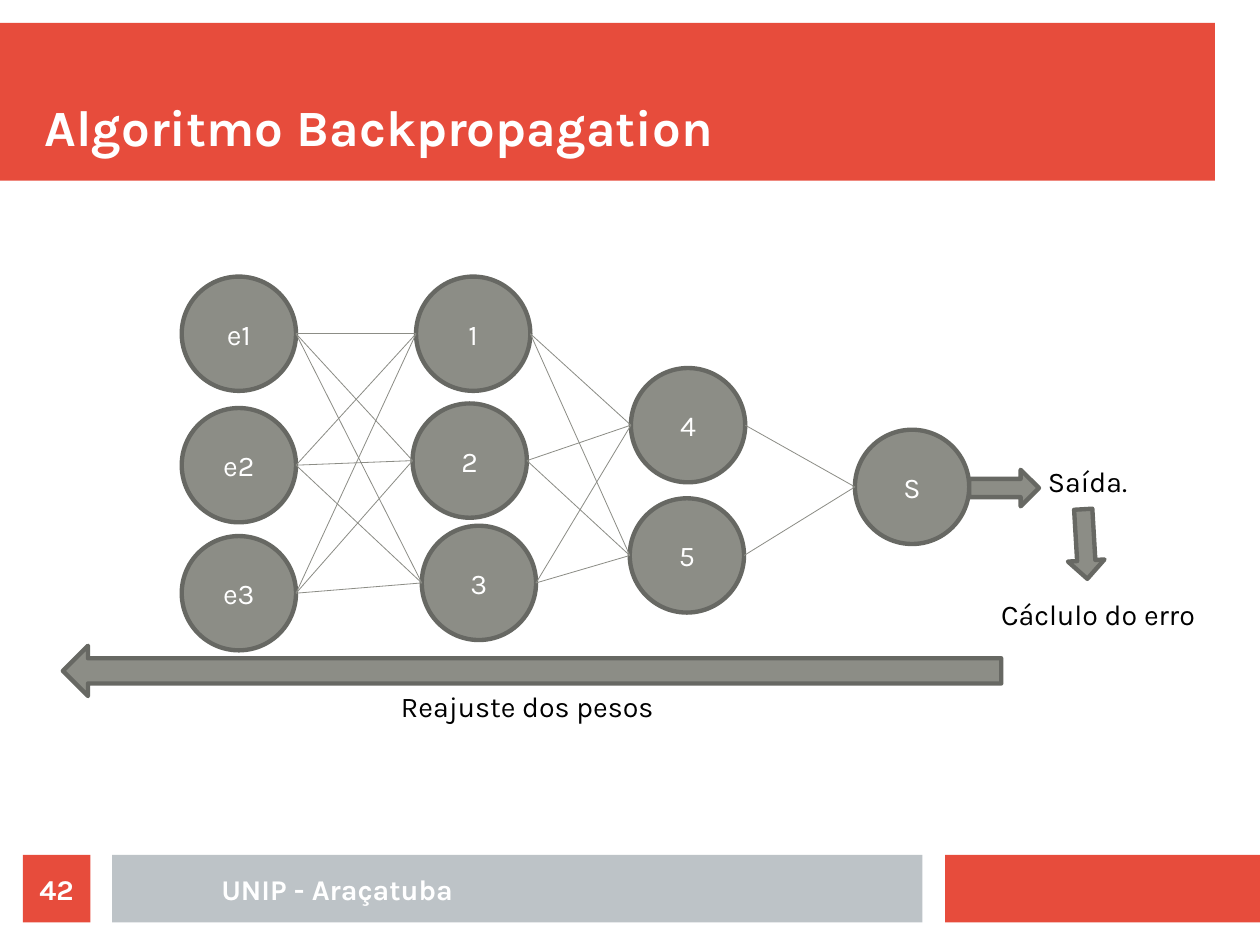
from itertools import pairwise, product

from lxml.etree import SubElement
from pptx import Presentation
from pptx.dml.color import RGBColor
from pptx.enum.shapes import MSO_CONNECTOR, MSO_SHAPE
from pptx.enum.text import MSO_ANCHOR, PP_ALIGN
from pptx.oxml.ns import qn
from pptx.util import Inches, Pt

RED = RGBColor(0xE7, 0x4C, 0x3C)
SILVER = RGBColor(0xBD, 0xC3, 0xC7)
GRAY = RGBColor(0x8C, 0x8D, 0x86)
DARK = RGBColor(0x67, 0x68, 0x63)
WHITE = RGBColor(0xFF, 0xFF, 0xFF)
BLACK = RGBColor(0x00, 0x00, 0x00)

FONT = "Karla"
WIDE = 28 / 2.54
HIGH = 21 / 2.54
NODE = 1.0
FOOT = 7.48
LAYERS = [
    [("e1", 1.59, 2.42), ("e2", 1.59, 3.57), ("e3", 1.59, 4.69)],
    [("1", 3.64, 2.42), ("2", 3.61, 3.53), ("3", 3.69, 4.6)],
    [("4", 5.52, 3.22), ("5", 5.51, 4.36)],
    [("S", 7.48, 3.76)],
]
LABELS = [
    ("Saída.", 9.07, 4.01, 0.97),
    ("Cáclulo do erro", 8.66, 5.17, 1.98),
    ("Reajuste dos pesos", 3.41, 5.98, 2.44),
]


def write(shape, text, size=18, color=WHITE, bold=False,
          align=PP_ALIGN.CENTER, anchor=MSO_ANCHOR.MIDDLE, wrap=True, pad=True):
    """Set and format the one line of text in a shape."""
    frame = shape.text_frame
    frame.text = text
    frame.word_wrap = wrap
    frame.vertical_anchor = anchor
    if not pad:
        frame.margin_left = frame.margin_right = 0
        frame.margin_top = frame.margin_bottom = 0
    line = frame.paragraphs[0]
    line.alignment = align
    font = line.runs[0].font
    font.name, font.size, font.bold = FONT, Pt(size), bold
    font.color.rgb = color


def add_box(slide, x, y, w, h):
    """Add an empty text box."""
    return slide.shapes.add_textbox(Inches(x), Inches(y), Inches(w), Inches(h))


def add_form(slide, kind, x, y, w, h, fill, edge=None):
    """Add a filled preset shape, outlined if an edge colour is given."""
    form = slide.shapes.add_shape(kind, Inches(x), Inches(y), Inches(w), Inches(h))
    form.shadow.inherit = False
    form.fill.solid()
    form.fill.fore_color.rgb = fill
    if edge is None:
        form.line.fill.background()
    else:
        form.line.color.rgb = edge
        form.line.width = Pt(2.75)
    return form


def add_bar(slide, x, y, w, h, fill):
    """Add a plain coloured bar."""
    return add_form(slide, MSO_SHAPE.RECTANGLE, x, y, w, h, fill)


def add_node(slide, name, x, y):
    """Add a neuron with its name."""
    node = add_form(slide, MSO_SHAPE.OVAL, x, y, NODE, NODE, GRAY, DARK)
    write(node, name)


def add_link(slide, start, end):
    """Join the right side of one neuron to the left side of another."""
    link = slide.shapes.add_connector(
        MSO_CONNECTOR.STRAIGHT,
        Inches(start[1] + NODE), Inches(start[2] + NODE / 2),
        Inches(end[1]), Inches(end[2] + NODE / 2))
    link.line.color.rgb = GRAY
    link.line.width = Pt(0.5)
    SubElement(link._element.spPr, qn("a:effectLst"))


def add_arrow(slide, kind, x, y, w, h, turn=0):
    """Add a block arrow turned by some degrees."""
    arrow = add_form(slide, kind, x, y, w, h, GRAY, DARK)
    arrow.rotation = turn


def add_frame(slide):
    """Add the title band and the footer."""
    add_bar(slide, 0, 0.2, 10.63, 1.38, RED)
    add_bar(slide, 8.27, FOOT, WIDE - 8.27, 0.59, RED)
    add_bar(slide, 0.98, FOOT, 7.09, 0.59, SILVER)
    write(add_box(slide, 0.39, 0.39, 10.24, 0.98), "Algoritmo Backpropagation",
          32, bold=True, align=PP_ALIGN.LEFT, anchor=MSO_ANCHOR.BOTTOM, pad=False)
    write(add_box(slide, 1.18, FOOT, 3.54, 0.59), "UNIP - Araçatuba",
          bold=True, pad=False)
    write(add_bar(slide, 0.2, FOOT, 0.59, 0.59, RED), "42", bold=True, pad=False)


def add_net(slide):
    """Add the neurons and link each layer fully to the next."""
    for layer in LAYERS:
        for node in layer:
            add_node(slide, *node)
    for left, right in pairwise(LAYERS):
        for start, end in product(left, right):
            add_link(slide, start, end)


def main():
    """Build and save the slide."""
    deck = Presentation()
    deck.slide_width, deck.slide_height = Inches(WIDE), Inches(HIGH)
    slide = deck.slides.add_slide(deck.slide_layouts[6])
    add_frame(slide)
    add_net(slide)
    add_arrow(slide, MSO_SHAPE.RIGHT_ARROW, 8.48, 4.11, 0.61, 0.32)
    add_arrow(slide, MSO_SHAPE.RIGHT_ARROW, 9.19, 4.6, 0.61, 0.32, 86.6)
    add_arrow(slide, MSO_SHAPE.LEFT_ARROW, 0.55, 5.65, 8.21, 0.44)
    for text, x, y, w in LABELS:
        write(add_box(slide, x, y, w, 0.4), text, color=BLACK,
              align=PP_ALIGN.LEFT, anchor=MSO_ANCHOR.TOP, wrap=False)
    deck.save("out.pptx")


if __name__ == "__main__":
    main()
